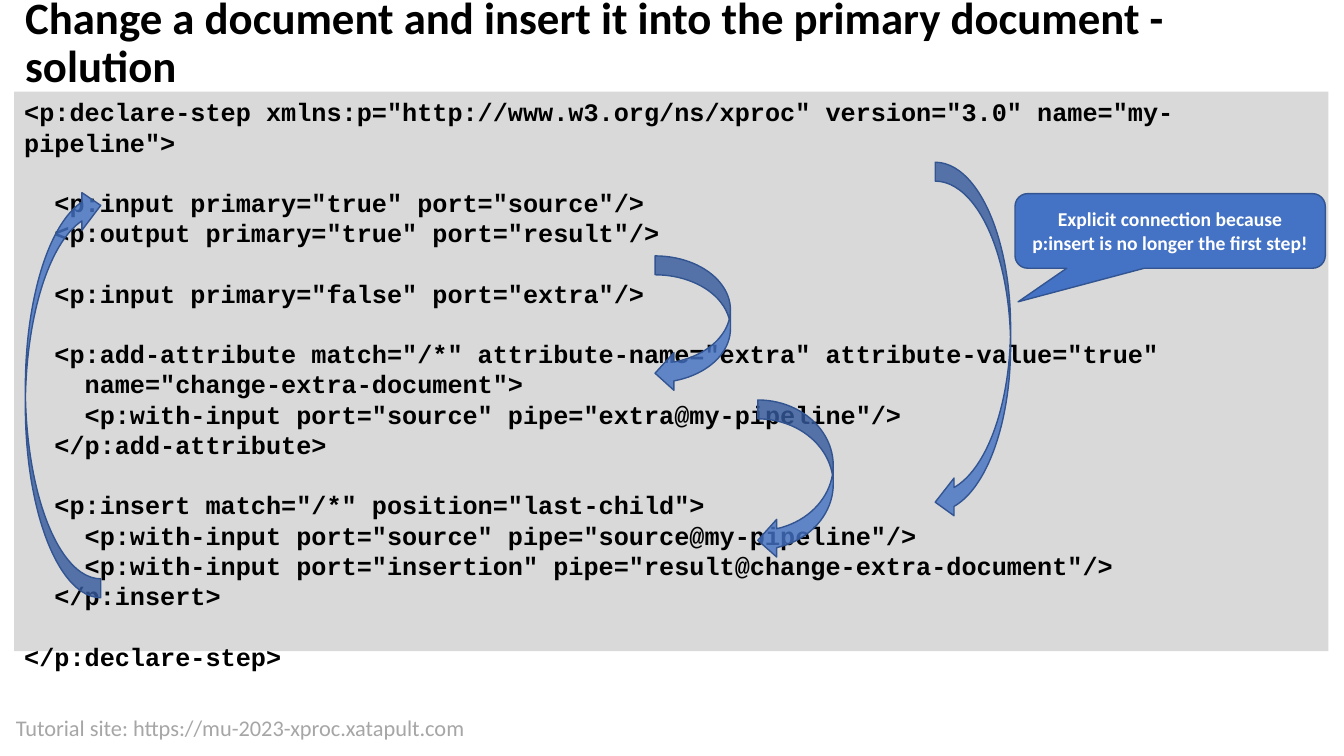
import pptx
import pptx.dml.color
import pptx.enum.shapes
import pptx.enum.text
import pptx.oxml
import pptx.oxml.ns
import pptx.util

Cm, Pt = pptx.util.Cm, pptx.util.Pt
KIND = pptx.enum.shapes.MSO_SHAPE
ALIGN = pptx.enum.text.PP_ALIGN
ANCHOR = pptx.enum.text.MSO_ANCHOR
FIT = pptx.enum.text.MSO_AUTO_SIZE

COLORS = {"ink": "000000", "foot": "A6A6A6", "panel": "D9D9D9",
          "blue": "4472C4", "edge": "325491", "white": "FFFFFF"}
FONTS = {
    "title": {"name": "Calibri", "size": Pt(32), "bold": True},
    "code": {"name": "Courier New", "size": Pt(18), "bold": True},
    "note": {"name": "Calibri", "size": Pt(14), "bold": True},
    "foot": {"name": "Calibri", "size": Pt(16), "bold": False},
}
GAP = Pt(21.6)
BLOCKS = [
    '<p:declare-step xmlns:p="http://www.w3.org/ns/xproc" version="3.0" name="my-pipeline">',
    '''  <p:input primary="true" port="source"/>
  <p:output primary="true" port="result"/>''',
    '  <p:input primary="false" port="extra"/>',
    '''  <p:add-attribute match="/*" attribute-name="extra" attribute-value="true"
    name="change-extra-document">
    <p:with-input port="source" pipe="extra@my-pipeline"/>
  </p:add-attribute>''',
    '''  <p:insert match="/*" position="last-child">
    <p:with-input port="source" pipe="source@my-pipeline"/>
    <p:with-input port="insertion" pipe="result@change-extra-document"/>
  </p:insert>''',
    '</p:declare-step>',
]
ARROWS = [(16.15, 4.14, 3.43, 0), (23.21, 1.78, 9.04, 0),
          (18.74, 7.77, 4.01, 0), (0.28, 2.39, 10.36, 180)]


def tint(name):
    """Return the named colour."""
    return pptx.dml.color.RGBColor.from_string(COLORS[name])


def write(para, text, style, color, align=ALIGN.LEFT):
    """Fill one paragraph with styled text."""
    run = para.add_run()
    run.text = text
    for key, value in FONTS[style].items():
        setattr(run.font, key, value)
    run.font.color.rgb = tint(color)
    para.alignment = align


def frame(shape, anchor):
    """Prepare and return the text frame of a shape."""
    body = shape.text_frame
    form = {"word_wrap": True, "auto_size": FIT.NONE, "vertical_anchor": anchor}
    for key, value in form.items():
        setattr(body, key, value)
    return body


def draw(slide, kind, box, fill, edge=None):
    """Add a flat preset shape."""
    shape = slide.shapes.add_shape(kind, *map(Cm, box))
    shape.shadow.inherit = False
    shape.fill.solid()
    shape.fill.fore_color.rgb = tint(fill)
    if edge:
        shape.line.color.rgb = tint(edge)
        shape.line.width = Pt(1)
    else:
        shape.line.fill.background()
    return shape


def head(slide, box):
    """Place the slide title."""
    title = slide.shapes.title
    for key, value in zip(("left", "top", "width", "height"), box):
        setattr(title, key, Cm(value))
    para = frame(title, ANCHOR.MIDDLE).paragraphs[0]
    para.line_spacing = 0.9
    write(para, "Change a document and insert it into the primary document - solution",
          "title", "ink")


def code(slide, box):
    """Place the code panel."""
    body = frame(draw(slide, KIND.RECTANGLE, box, "panel"), ANCHOR.TOP)
    para = body.paragraphs[0]
    for part, block in enumerate(BLOCKS):
        for row, line in enumerate(block.split("\n")):
            if part or row:
                para = body.add_paragraph()
                para.space_before = Pt(0) if row else GAP
            write(para, line, "code", "ink")


def flow(slide, box):
    """Place the curved arrows over the code."""
    for left, top, height, turn in ARROWS:
        place = (box[0] + left, box[1] + top, 1.9, height)
        arrow = draw(slide, KIND.CURVED_RIGHT_ARROW, place, "blue", "edge")
        arrow.rotation = turn
        props = arrow.element.spPr
        props.find(pptx.oxml.ns.qn("a:xfrm")).set("flipH", "1")
        clear = pptx.oxml.parse_xml(
            f'<a:alpha {pptx.oxml.ns.nsdecls("a")} val="81000"/>')
        props.find(".//" + pptx.oxml.ns.qn("a:srgbClr")).append(clear)


def note(slide, box):
    """Place the callout beside the long arrow."""
    place = (box[0] + 25.22, box[1] + 2.57, 7.82, 1.88)
    shape = draw(slide, KIND.ROUNDED_RECTANGULAR_CALLOUT, place, "blue", "edge")
    for index, value in enumerate((-0.49, 0.95, 0.17)):
        shape.adjustments[index] = value
    write(frame(shape, ANCHOR.MIDDLE).paragraphs[0],
          "Explicit connection because p:insert is no longer the first step!",
          "note", "white", ALIGN.CENTER)


def foot(slide, box):
    """Place the footer line."""
    shape = slide.shapes.add_textbox(*map(Cm, box))
    write(frame(shape, ANCHOR.TOP).paragraphs[0],
          "Tutorial site: https://mu-2023-xproc.xatapult.com", "foot", "foot")


def main():
    """Build and save the slide."""
    deck = pptx.Presentation()
    deck.slide_width, deck.slide_height = Cm(33.87), Cm(19.05)
    slide = deck.slides.add_slide(deck.slide_layouts.get_by_name("Title Only"))
    panel = (0.36, 2.31, 33.12, 14.1)
    foot(slide, (0.15, 17.88, 15.01, 0.94))
    head(slide, (0.38, -0.08, 32.28, 2.39))
    code(slide, panel)
    flow(slide, panel)
    note(slide, panel)
    deck.save("out.pptx")


if __name__ == "__main__":
    main()
